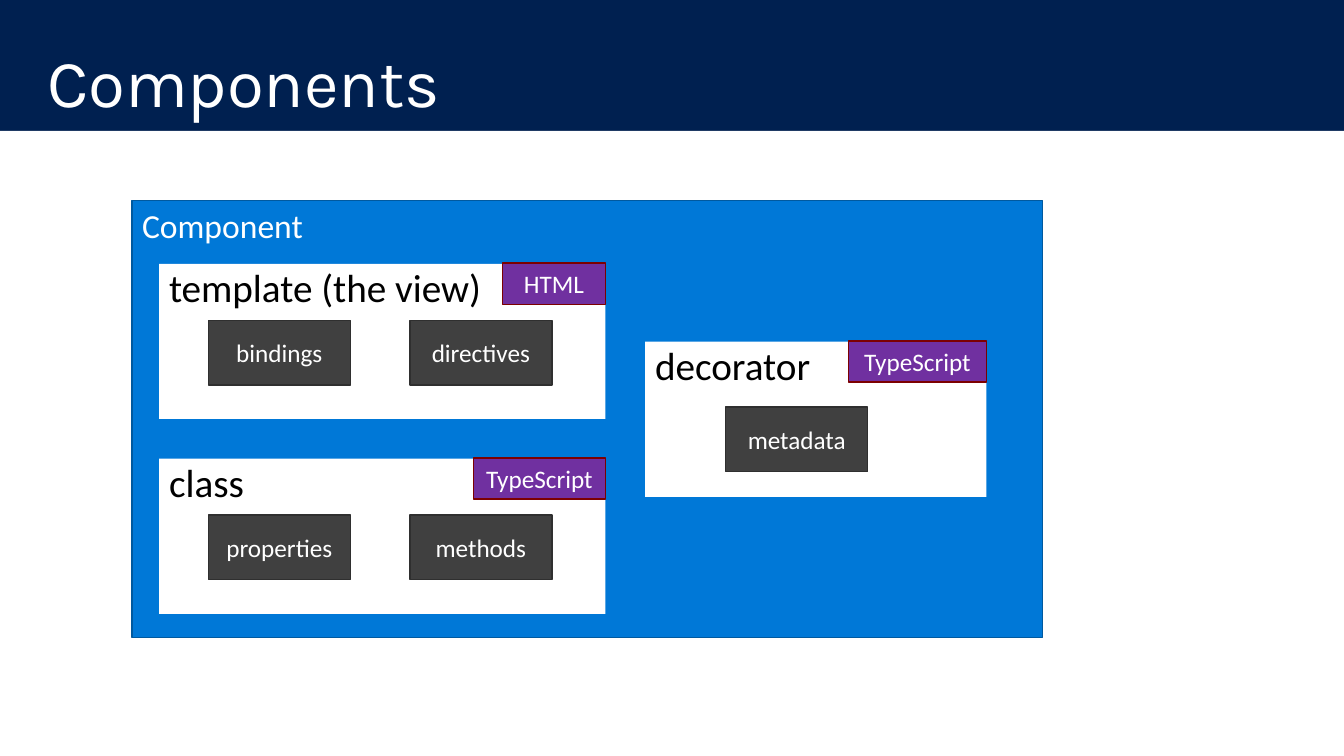
from pptx import Presentation
from pptx.dml.color import RGBColor
from pptx.enum.shapes import MSO_SHAPE
from pptx.enum.text import MSO_ANCHOR, PP_ALIGN
from pptx.util import Cm, Pt


def color(hex_string):
    return RGBColor.from_string(hex_string)


def add_box(left, top, width, height, fill, line=None, text="", size=18,
            font_color="FFFFFF", centered=True, font_name="Calibri"):
    shape = slide.shapes.add_shape(
        MSO_SHAPE.RECTANGLE, Cm(left), Cm(top), Cm(width), Cm(height))
    shape.shadow.inherit = False
    if fill:
        shape.fill.solid()
        shape.fill.fore_color.rgb = color(fill)
    else:
        shape.fill.background()
    if line:
        shape.line.color.rgb = color(line)
        shape.line.width = Pt(1)
    else:
        shape.line.fill.background()
    if text:
        frame = shape.text_frame
        frame.word_wrap = True
        frame.vertical_anchor = MSO_ANCHOR.MIDDLE if centered else MSO_ANCHOR.TOP
        paragraph = frame.paragraphs[0]
        paragraph.text = text
        paragraph.alignment = PP_ALIGN.CENTER if centered else PP_ALIGN.LEFT
        paragraph.font.name = font_name
        paragraph.font.size = Pt(size)
        paragraph.font.color.rgb = color(font_color)
    return shape


presentation = Presentation()
presentation.slide_width = Cm(33.87)
presentation.slide_height = Cm(19.05)
slide = presentation.slides.add_slide(presentation.slide_layouts[6])

# Navy background with a white content area
slide.background.fill.solid()
slide.background.fill.fore_color.rgb = color("002050")
add_box(0, 3.3, 33.87, 15.75, "FFFFFF")

# Title
title = slide.shapes.add_textbox(Cm(0.94), Cm(0.89), Cm(32), Cm(2.54))
title.text_frame.word_wrap = True
title.text_frame.vertical_anchor = MSO_ANCHOR.MIDDLE
paragraph = title.text_frame.paragraphs[0]
paragraph.text = "Components"
paragraph.line_spacing = 0.9
paragraph.font.name = "Karla"
paragraph.font.size = Pt(48)
paragraph.font.color.rgb = color("FFFFFF")

# Component container
add_box(3.33, 5.05, 22.94, 11.02, "0078D7", "00599F", "Component", 24,
        centered=False)

# Panels: name, left, top, width, part offset (x, y), parts, tag, tag width
panels = [
    ("template (the view)", 4.01, 6.65, 11.25, 1.24, 1.42,
     ["bindings", "directives"], "HTML", 2.6),
    ("class", 4.01, 11.56, 11.25, 1.24, 1.42,
     ["properties", "methods"], "TypeScript", 3.33),
    ("decorator", 16.26, 8.61, 8.6, 2.03, 1.65,
     ["metadata"], "TypeScript", 3.48),
]
part_pitch = 5.08

for name, left, top, width, offset_x, offset_y, parts, tag, tag_width in panels:
    panel = add_box(left, top, width, 3.91, "FFFFFF", None, name, 28, "000000",
                    centered=False)
    panel.text_frame.paragraphs[0].line_spacing = 0.9
    for index, part in enumerate(parts):
        add_box(left + offset_x + index * part_pitch, top + offset_y,
                3.58, 1.63, "404040", "2F2F2F", part)
    # Language tag in the top right corner
    add_box(left + width - tag_width, top - 0.02, tag_width, 1.04,
            "7030A0", "7C0000", tag)

presentation.save("out.pptx")
